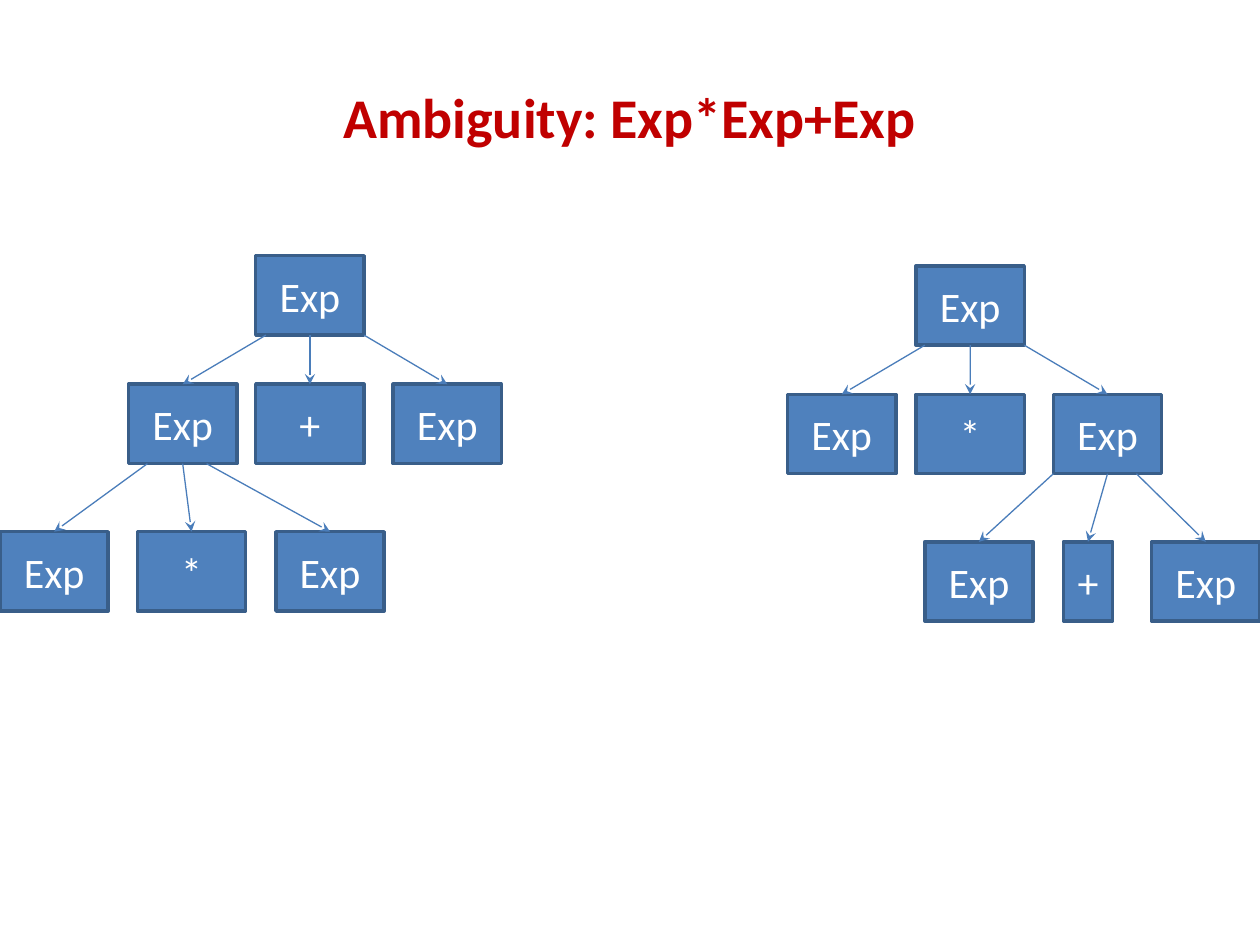
from lxml import etree
from pptx import Presentation
from pptx.dml.color import RGBColor
from pptx.enum.shapes import MSO_CONNECTOR, MSO_SHAPE
from pptx.enum.text import MSO_ANCHOR, PP_ALIGN
from pptx.oxml.ns import qn
from pptx.util import Inches, Pt

RECTANGLE = MSO_SHAPE.RECTANGLE
STRAIGHT = MSO_CONNECTOR.STRAIGHT
CENTER = PP_ALIGN.CENTER
MIDDLE = MSO_ANCHOR.MIDDLE

BOX_WIDTH, BOX_HEIGHT = 0.86, 0.63
LEVELS = (0, 1.02, 2.19)  # drop of each tree level below the root


def color(value):
    return RGBColor.from_string(value)


def write(shape, text, size, value, bold=False):
    frame = shape.text_frame
    frame.text = text
    frame.word_wrap = True
    frame.vertical_anchor = MIDDLE
    para = frame.paragraphs[0]
    para.alignment = CENTER
    font = para.runs[0].font
    font.name = "Calibri"
    font.size = Pt(size)
    font.bold = bold
    font.color.rgb = color(value)


deck = Presentation()
deck.slide_width, deck.slide_height = Inches(10), Inches(7.5)
page = deck.slides.add_slide(deck.slide_layouts[5])

# Title
title = page.shapes.title
title.left, title.top = Inches(0.5), Inches(0.3)
title.width, title.height = Inches(9), Inches(1.25)
write(title, "Ambiguity: Exp*Exp+Exp", 32, "C00000", bold=True)

# Parse trees: each node is level, left, width, text, x where its arrow starts
sum_tree = [
    (0, 2.03, BOX_WIDTH, "Exp", None),
    (1, 1.02, BOX_WIDTH, "Exp", 2.11),
    (1, 2.03, BOX_WIDTH, "+", 2.46),
    (1, 3.12, BOX_WIDTH, "Exp", 2.89),
    (2, 0, BOX_WIDTH, "Exp", 1.17),
    (2, 1.09, BOX_WIDTH, "*", 1.45),
    (2, 2.19, BOX_WIDTH, "Exp", 1.64),
]
product_tree = [
    (0, 7.27, BOX_WIDTH, "Exp", None),
    (1, 6.25, BOX_WIDTH, "Exp", 7.34),
    (1, 7.27, BOX_WIDTH, "*", 7.7),
    (1, 8.36, BOX_WIDTH, "Exp", 8.13),
    (2, 7.34, BOX_WIDTH, "Exp", 8.36),
    (2, 8.44, 0.39, "+", 8.79),
    (2, 9.14, BOX_WIDTH, "Exp", 9.02),
]
sum_group = page.shapes.add_group_shape()

for shapes, root_top, tree in (
    (sum_group.shapes, 2.03, sum_tree),
    (page.shapes, 2.11, product_tree),
):
    # Node boxes
    for level, left, width, text, start in tree:
        box = shapes.add_shape(
            RECTANGLE, Inches(left), Inches(root_top + LEVELS[level]),
            Inches(width), Inches(BOX_HEIGHT))
        box.shadow.inherit = False
        box.fill.solid()
        box.fill.fore_color.rgb = color("4F81BD")
        box.line.color.rgb = color("395E89")
        box.line.width = Pt(2)
        write(box, text, 24, "FFFFFF")

    # Arrows from the parent's bottom edge to the child's top centre
    for level, left, width, text, start in tree[1:]:
        arrow = shapes.add_connector(
            STRAIGHT,
            Inches(start), Inches(root_top + LEVELS[level - 1] + BOX_HEIGHT),
            Inches(left + width / 2), Inches(root_top + LEVELS[level]))
        arrow.line.color.rgb = color("4A7DBA")
        arrow.line.width = Pt(0.75)
        etree.SubElement(arrow.line._get_or_add_ln(), qn("a:tailEnd"), type="stealth")
        etree.SubElement(arrow._element.spPr, qn("a:effectLst"))

deck.save("out.pptx")
